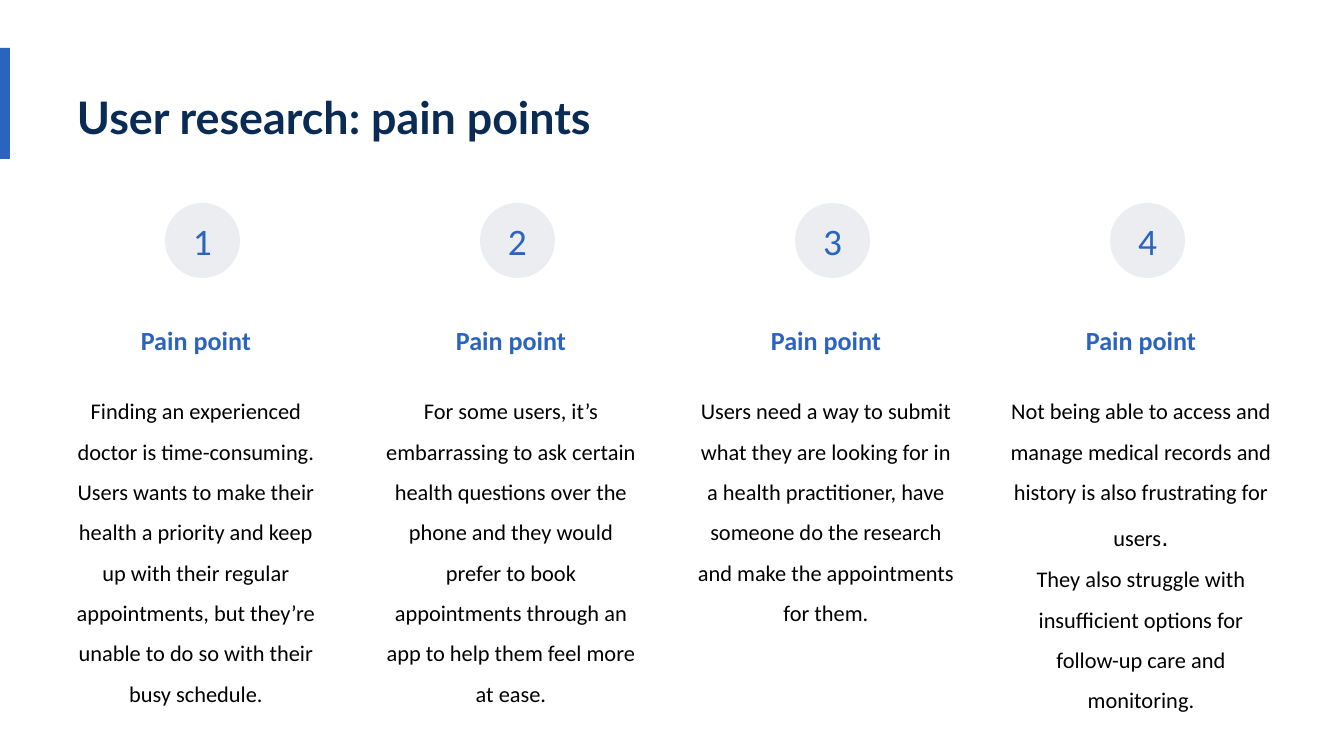
import dataclasses

import pptx
import pptx.dml.color
import pptx.enum.shapes
import pptx.enum.text
import pptx.util

EMU_PER_PX = 914400 / 134.4
COLUMN_LEFT = 65
COLUMN_PITCH = 315
COLUMN_WIDTH = 275
CIRCLE_OFFSET = 100
CIRCLE_SIZE = 75
INSET = 13


@dataclasses.dataclass(frozen=True)
class Theme:
    background: str = "FFFFFF"
    accent: str = "2B64BE"
    title: str = "0A2B53"
    body: str = "000000"
    circle: str = "EBEDF0"
    title_font: str = "Lato"
    text_font: str = "Calibri"
    stop_font: str = "Arial"
    title_size: int = 24
    number_size: int = 20
    heading_size: int = 14
    body_size: int = 12


THEME = Theme()
BODY_FORMAT = {"size": THEME.body_size, "color": THEME.body}
STOP_FORMAT = {"size": THEME.heading_size, "font_name": THEME.stop_font}

PAIN_POINTS = [
    (339, [
        ["Finding an experienced doctor is time-consuming."],
        ["Users wants to make their health a priority and keep up with their "
         "regular appointments, but they’re unable to do so with their busy schedule."],
    ]),
    (339, [
        ["For some users, it’s embarrassing to ask certain health questions over "
         "the phone and they would prefer to book appointments through an app to "
         "help them feel more at ease."],
    ]),
    (298, [
        ["Users need a way to submit what they are looking for in a health "
         "practitioner, have someone do the research and make the appointments "
         "for them."],
    ]),
    (387, [
        ["Not being able to access and manage medical records and history is also "
         "frustrating for users", (".", STOP_FORMAT)],
        ["They also struggle with insufficient options for follow-up care and "
         "monitoring."],
    ]),
]


def px(length):
    return pptx.util.Emu(round(length * EMU_PER_PX))


def rgb(color):
    return pptx.dml.color.RGBColor.from_string(color)


def add_run(paragraph, text, *, size, color, font_name=THEME.text_font, bold=False):
    run = paragraph.add_run()
    run.text = text
    run.font.size = pptx.util.Pt(size)
    run.font.name = font_name
    run.font.bold = bold
    run.font.color.rgb = rgb(color)


def write_text(paragraph, *pieces, centered=True, line_spacing=None, **run_format):
    if centered:
        paragraph.alignment = pptx.enum.text.PP_ALIGN.CENTER
    if line_spacing:
        paragraph.line_spacing = line_spacing
    for piece in pieces:
        text, changes = (piece, {}) if isinstance(piece, str) else piece
        add_run(paragraph, text, **{**run_format, **changes})


def set_insets(frame, left, others):
    frame.margin_left = px(left)
    frame.margin_top = frame.margin_right = frame.margin_bottom = px(others)


def add_text_box(slide, left, top, width, height, paragraphs, **text_format):
    box = slide.shapes.add_textbox(px(left), px(top), px(width), px(height))
    frame = box.text_frame
    frame.word_wrap = True
    frame.auto_size = pptx.enum.text.MSO_AUTO_SIZE.SHAPE_TO_FIT_TEXT
    set_insets(frame, 0, INSET)
    for index, pieces in enumerate(paragraphs):
        paragraph = frame.add_paragraph() if index else frame.paragraphs[0]
        write_text(paragraph, *pieces, **text_format)


def add_filled_shape(slide, kind, left, top, width, height, color):
    shape = slide.shapes.add_shape(kind, px(left), px(top), px(width), px(height))
    shape.shadow.inherit = False
    shape.fill.solid()
    shape.fill.fore_color.rgb = rgb(color)
    shape.line.fill.background()
    return shape


def add_number_circle(slide, left, number):
    circle = add_filled_shape(slide, pptx.enum.shapes.MSO_SHAPE.OVAL,
                              left, 203, CIRCLE_SIZE, CIRCLE_SIZE, THEME.circle)
    frame = circle.text_frame
    set_insets(frame, 0, 0)
    frame.vertical_anchor = pptx.enum.text.MSO_ANCHOR.MIDDLE
    write_text(frame.paragraphs[0], str(number),
               size=THEME.number_size, color=THEME.accent)


def add_pain_point(slide, index, body_height, paragraphs):
    left = COLUMN_LEFT + index * COLUMN_PITCH
    add_number_circle(slide, left + CIRCLE_OFFSET, index + 1)
    add_text_box(slide, left, 296, COLUMN_WIDTH, 59, [["Pain point"]],
                 line_spacing=1.5, size=THEME.heading_size,
                 color=THEME.accent, bold=True)
    add_text_box(slide, left, 371, COLUMN_WIDTH, body_height, paragraphs,
                 line_spacing=1.5, **BODY_FORMAT)


def main():
    presentation = pptx.Presentation()
    presentation.slide_width = px(1344)
    presentation.slide_height = px(756)
    slide = presentation.slides.add_slide(presentation.slide_layouts[6])
    slide.background.fill.solid()
    slide.background.fill.fore_color.rgb = rgb(THEME.background)

    add_filled_shape(slide, pptx.enum.shapes.MSO_SHAPE.RECTANGLE,
                     0, 48, 10, 111, THEME.accent)
    add_text_box(slide, 77, 77, 905, 82, [["User research: pain points"]],
                 centered=False, size=THEME.title_size, color=THEME.title,
                 font_name=THEME.title_font, bold=True)
    for index, (body_height, paragraphs) in enumerate(PAIN_POINTS):
        add_pain_point(slide, index, body_height, paragraphs)

    presentation.save("out.pptx")


if __name__ == "__main__":
    main()
